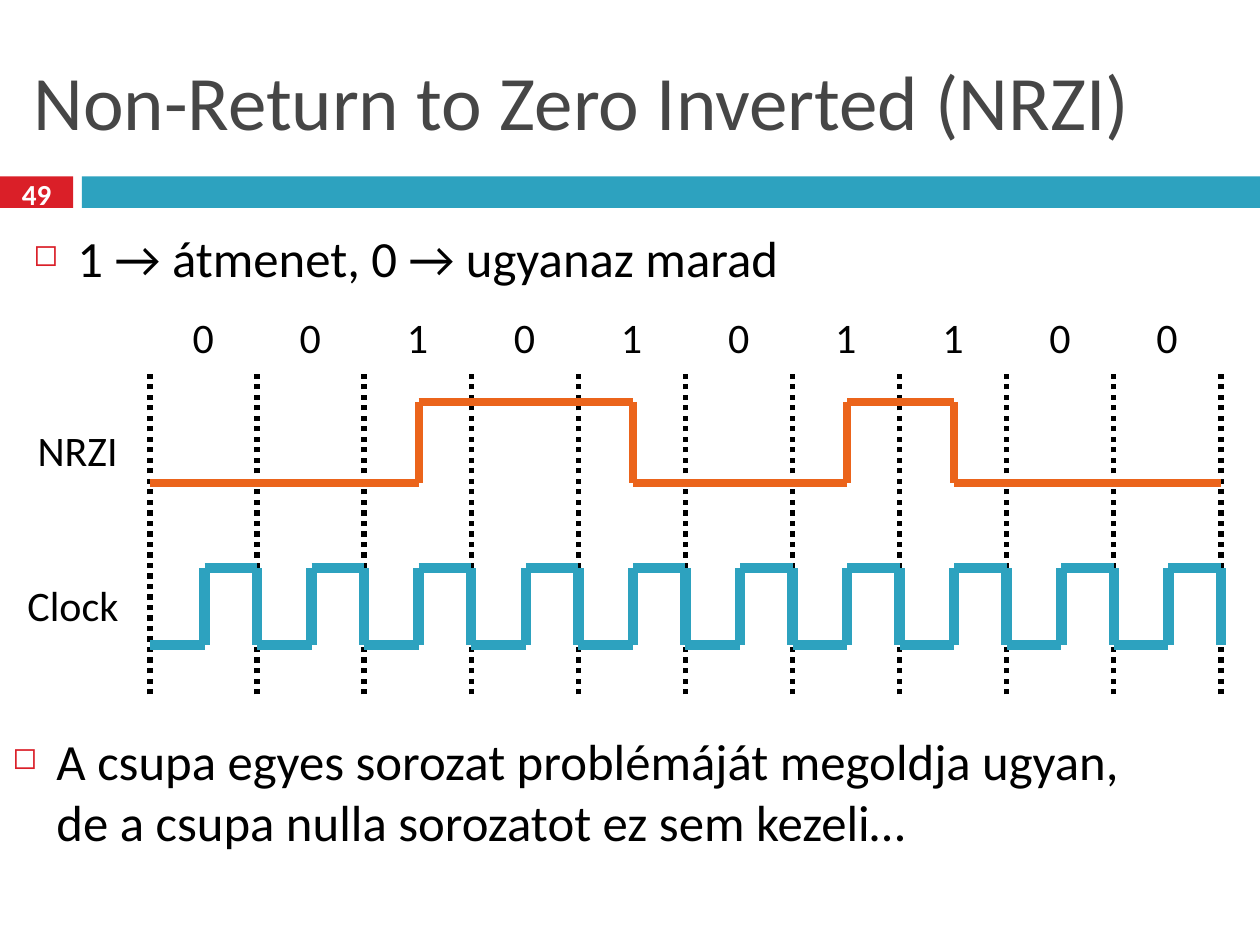
from dataclasses import dataclass
from itertools import pairwise

from lxml.etree import SubElement
from pptx import Presentation
from pptx.dml.color import RGBColor
from pptx.enum.dml import MSO_LINE
from pptx.enum.shapes import MSO_CONNECTOR, MSO_SHAPE
from pptx.enum.text import MSO_ANCHOR, MSO_AUTO_SIZE, PP_ALIGN
from pptx.oxml.ns import qn
from pptx.slide import Slide
from pptx.util import Inches, Pt

COLORS = {
    "red": "DA1F28",
    "teal": "2DA2BF",
    "orange": "EB641B",
    "gray": "464646",
    "black": "000000",
    "white": "FFFFFF",
}
SLIDE_WIDTH, SLIDE_HEIGHT = Inches(10), Inches(7.5)
GRID_LEFT, COLUMN_WIDTH = 11.9, 8.5
CLOCK_EDGE = 0.51
BITS = "0010101100"

Point = tuple[float, float]


@dataclass(frozen=True)
class Area:
    """Position and size in percent of the slide."""

    left: float
    top: float
    width: float
    height: float

    def lengths(self) -> tuple[int, int, int, int]:
        return (across(self.left), down(self.top), across(self.width), down(self.height))


@dataclass(frozen=True)
class Label:
    text: str
    area: Area
    size: float = 24
    color: str = "black"
    bold: bool = False
    bullet: bool = False
    wrap: bool = False
    anchor: MSO_ANCHOR = MSO_ANCHOR.TOP
    alignment: PP_ALIGN = PP_ALIGN.LEFT


@dataclass(frozen=True)
class Stroke:
    color: str
    width: float
    dash: MSO_LINE | None = None


@dataclass(frozen=True)
class Signal:
    label: Label
    stroke: Stroke
    low: float
    high: float


def across(percent: float) -> int:
    return round(SLIDE_WIDTH * percent / 100)


def down(percent: float) -> int:
    return round(SLIDE_HEIGHT * percent / 100)


def column(number: float) -> float:
    return GRID_LEFT + number * COLUMN_WIDTH


def rgb(name: str) -> RGBColor:
    return RGBColor.from_string(COLORS[name])


def apply_format(target: object, values: dict[str, object]) -> None:
    for name, value in values.items():
        setattr(target, name, value)


def add_bar(slide: Slide, area: Area, color: str) -> None:
    shape = slide.shapes.add_shape(MSO_SHAPE.RECTANGLE, *area.lengths())
    shape.shadow.inherit = False
    shape.fill.solid()
    shape.fill.fore_color.rgb = rgb(color)
    shape.line.fill.background()


def add_bullet(paragraph) -> None:
    properties = paragraph._p.get_or_add_pPr()
    apply_format_xml = {"marL": Inches(0.35), "indent": -Inches(0.35)}
    for name, value in apply_format_xml.items():
        properties.set(name, str(value))
    bullet_color = SubElement(properties, qn("a:buClr"))
    SubElement(bullet_color, qn("a:srgbClr"), val=COLORS["red"])
    SubElement(properties, qn("a:buSzPct"), val="60000")
    SubElement(properties, qn("a:buChar"), char="◻")


def add_label(slide: Slide, label: Label) -> None:
    shape = slide.shapes.add_textbox(*label.area.lengths())
    frame_format = {
        "word_wrap": label.wrap,
        "auto_size": MSO_AUTO_SIZE.NONE if label.wrap else MSO_AUTO_SIZE.SHAPE_TO_FIT_TEXT,
        "vertical_anchor": label.anchor,
    }
    apply_format(shape.text_frame, frame_format)
    paragraph = shape.text_frame.paragraphs[0]
    paragraph.text = label.text
    paragraph.alignment = label.alignment
    if label.bullet:
        add_bullet(paragraph)
    for run in paragraph.runs:
        apply_format(run.font, {"name": "Calibri", "size": Pt(label.size), "bold": label.bold})
        run.font.color.rgb = rgb(label.color)


def add_line(slide: Slide, start: Point, end: Point, stroke: Stroke) -> None:
    connector = slide.shapes.add_connector(
        MSO_CONNECTOR.STRAIGHT, across(start[0]), down(start[1]), across(end[0]), down(end[1])
    )
    connector.line.color.rgb = rgb(stroke.color)
    apply_format(connector.line, {"width": Pt(stroke.width), "dash_style": stroke.dash})
    SubElement(connector._element.spPr, qn("a:effectLst"))


def add_signal(slide: Slide, signal: Signal, edges: list[float]) -> None:
    level, other = signal.low, signal.high
    points = [(column(0), level)]
    for edge in edges:
        points += [(column(edge), level), (column(edge), other)]
        level, other = other, level
    if edges[-1] < len(BITS):
        points.append((column(len(BITS)), level))
    for start, end in pairwise(points):
        add_line(slide, start, end, signal.stroke)
    add_label(slide, signal.label)


BARS = [
    (Area(0, 18.67, 5.8, 3.33), "red"),
    (Area(6.5, 18.67, 93.5, 3.33), "teal"),
]
LABELS = [
    Label("Non-Return to Zero Inverted (NRZI)", Area(1.67, 3.33, 96.67, 14.4),
          size=44, color="gray", wrap=True, anchor=MSO_ANCHOR.MIDDLE),
    Label("49", Area(0, 18.27, 5.8, 4.4), size=16.6, color="white", bold=True,
          wrap=True, anchor=MSO_ANCHOR.MIDDLE, alignment=PP_ALIGN.CENTER),
    Label("1 → átmenet, 0 → ugyanaz marad", Area(1.67, 23.33, 96.67, 8.93),
          size=29, bullet=True, wrap=True),
    Label("A csupa egyes sorozat problémáját megoldja ugyan,\vde a csupa nulla sorozatot ez sem kezeli…",
          Area(0, 76.53, 100, 17.6), size=29, bullet=True, wrap=True),
]
CLOCK = Signal(Label("Clock", Area(1.2, 60.67, 9.3, 6.67)), Stroke("teal", 6), 68.27, 60.13)
NRZI = Signal(Label("NRZI", Area(2, 44.27, 8.4, 6.67)), Stroke("orange", 4.5), 51.07, 42.53)
DIVIDER = Stroke("black", 3, MSO_LINE.ROUND_DOT)


def main() -> None:
    presentation = Presentation()
    apply_format(presentation, {"slide_width": SLIDE_WIDTH, "slide_height": SLIDE_HEIGHT})
    slide = presentation.slides.add_slide(presentation.slide_layouts[6])
    for area, color in BARS:
        add_bar(slide, area, color)
    for label in LABELS:
        add_label(slide, label)
    for number in range(len(BITS) + 1):
        add_line(slide, (column(number), 73.47), (column(number), 39.07), DIVIDER)
    clock_edges = [edge for number in range(len(BITS)) for edge in (number + CLOCK_EDGE, number + 1)]
    add_signal(slide, CLOCK, clock_edges)
    add_signal(slide, NRZI, [number + CLOCK_EDGE for number, bit in enumerate(BITS) if bit == "1"])
    for number, bit in enumerate(BITS):
        add_label(slide, Label(bit, Area(column(number) + 2.4, 32.27, 3.9, 6.67)))
    presentation.save("out.pptx")


if __name__ == "__main__":
    main()
